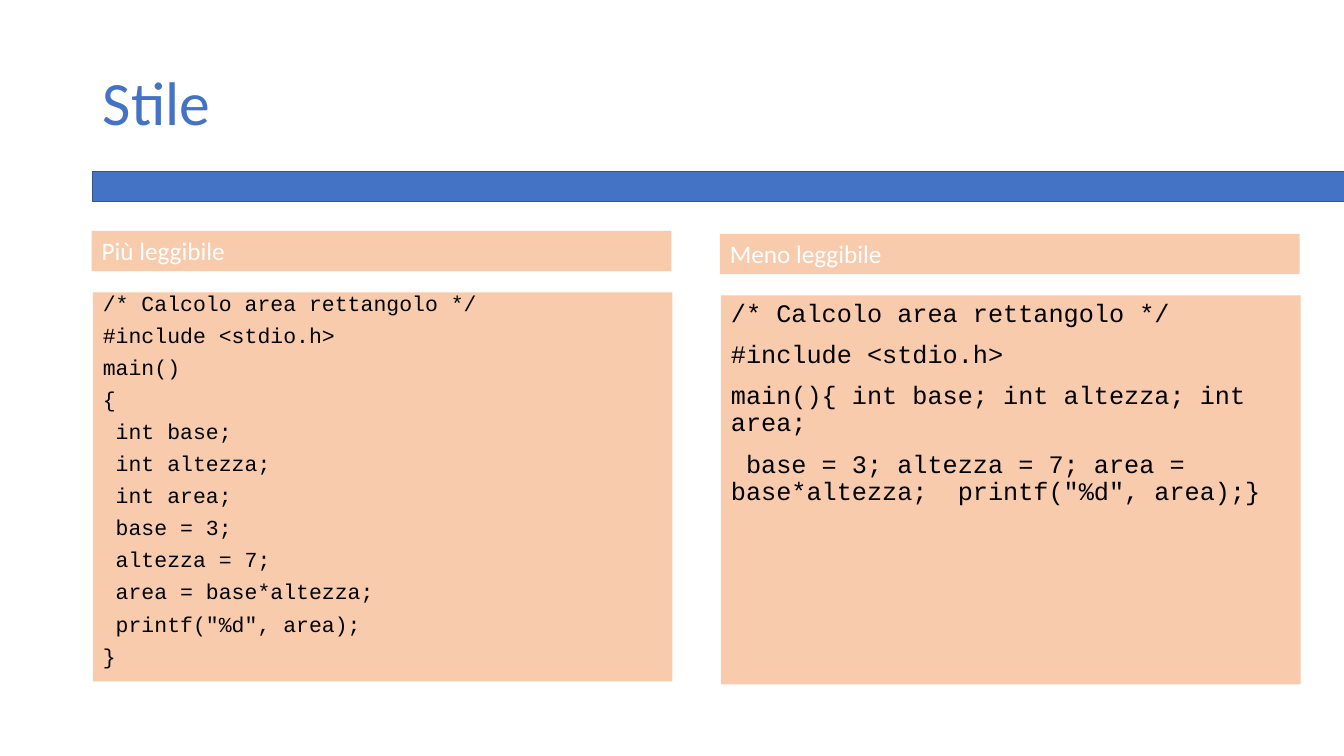
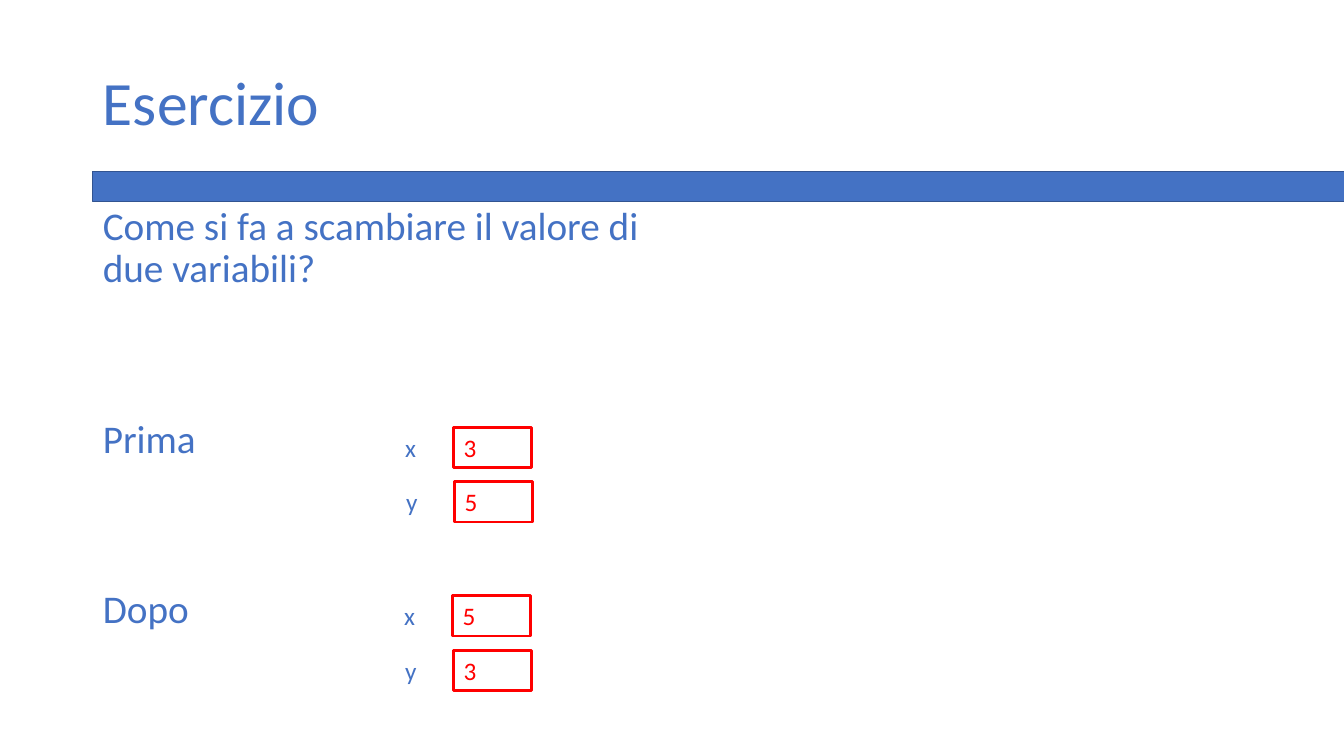
from lxml import etree
from pptx import Presentation
from pptx.dml.color import RGBColor
from pptx.enum.shapes import MSO_SHAPE
from pptx.enum.text import MSO_ANCHOR, MSO_AUTO_SIZE, PP_ALIGN
from pptx.oxml.ns import qn
from pptx.util import Inches, Pt

RECT = MSO_SHAPE.RECTANGLE
TOP, MID = MSO_ANCHOR.TOP, MSO_ANCHOR.MIDDLE
LEFT = PP_ALIGN.LEFT
FIXED = MSO_AUTO_SIZE.NONE

BLUE, EDGE, PEACH = "4472C4", "325491", "F8CBAD"
RED, WHITE, BLACK = "FF0000", "FFFFFF", "000000"
SANS, MONO = "Calibri", "Courier New"

CLEAR = """/* Calcolo area rettangolo */
#include <stdio.h>
main()
{
 int base;
 int altezza;
 int area;
 base = 3;
 altezza = 7;
 area = base*altezza;
 printf("%d", area);
}"""
DENSE = """/* Calcolo area rettangolo */
#include <stdio.h>
main(){ int base; int altezza; int area;
 base = 3; altezza = 7; area = base*altezza;  printf("%d", area);}"""


def paint(target, color):
    target.solid()
    target.fore_color.rgb = RGBColor.from_string(color)


def place(shape, x, y, w, h):
    shape.left, shape.top = Inches(x), Inches(y)
    shape.width, shape.height = Inches(w), Inches(h)


def write(shape, text, size, color, font=SANS, anchor=TOP, lead=1.0, gap=0):
    """Fill a shape with left-aligned, unbulleted paragraphs."""
    frame = shape.text_frame
    frame.word_wrap = True
    frame.auto_size = FIXED
    frame.vertical_anchor = anchor
    frame.text = text
    for i, para in enumerate(frame.paragraphs):
        props = para._p.get_or_add_pPr()
        props.set("marL", "0")
        props.set("indent", "0")
        etree.SubElement(props, qn("a:buNone"))
        para.alignment = LEFT
        para.line_spacing = lead
        para.space_before = Pt(gap if i else 0)
        for run in para.runs:
            run.font.size = Pt(size)
            run.font.name = font
            run.font.color.rgb = RGBColor.from_string(color)


def add_box(slide, x, y, w, h, fill=None, line=None, weight=1):
    box = slide.shapes.add_shape(RECT, Inches(x), Inches(y), Inches(w), Inches(h))
    box.shadow.inherit = False
    if fill:
        paint(box.fill, fill)
    else:
        box.fill.background()
    if line:
        paint(box.line.fill, line)
        box.line.width = Pt(weight)
    else:
        box.line.fill.background()
    return box


def add_page(deck, layout, title):
    """Start a slide with the shared title and band."""
    slide = deck.slides.add_slide(deck.slide_layouts.get_by_name(layout))
    add_box(slide, 0.92, 1.7, 12.42, 0.3, BLUE, EDGE)
    head = slide.shapes.title
    place(head, 0.92, 0.4, 11.5, 1.3)
    write(head, title, 44, BLUE, anchor=MID, lead=0.9)
    return slide


def add_code(slide, body, x, y, label, code, size, lead):
    """Code panel with its label above."""
    width = 5.75
    place(body, x, y, width, 3.86)
    paint(body.fill, PEACH)
    write(body, code, size, BLACK, MONO, lead=lead, gap=10)
    tag = add_box(slide, x - 0.01, y - 0.61, width, 0.4, PEACH)
    write(tag, label, 18, WHITE)


def add_vars(slide, x, y, values):
    """Variable names, each beside its boxed value."""
    for i, (name, value) in enumerate(zip("xy", values)):
        left, top = x + 0.01 * i, y + 0.54 * i
        tag = slide.shapes.add_textbox(
            Inches(left), Inches(top), Inches(0.6), Inches(0.4))
        write(tag, name, 18, BLUE)
        cell = add_box(slide, left + 0.58, top, 0.77, 0.4, line=RED, weight=2)
        write(cell, value, 18, RED)


def style_page(deck):
    slide = add_page(deck, "Two Content", "Stile")
    one, two = slide.placeholders[1], slide.placeholders[2]
    add_code(slide, one, 0.92, 2.9, "Più leggibile", CLEAR, 15.3, 0.7)
    add_code(slide, two, 7.15, 2.93, "Meno leggibile", DENSE, 18, 0.9)


def task_page(deck):
    slide = add_page(deck, "Title and Content", "Esercizio")
    body = slide.placeholders[1]
    place(body, 0.92, 2, 5.88, 4.76)
    text = "Come si fa a scambiare il valore di due variabili?\nPrima\nDopo"
    write(body, text, 28, BLUE, lead=0.9, gap=91.5)
    add_vars(slide, 3.92, 4.24, "35")
    add_vars(slide, 3.91, 5.91, "53")


def main():
    deck = Presentation()
    deck.slide_width, deck.slide_height = Inches(13.33), Inches(7.5)
    style_page(deck)
    task_page(deck)
    deck.save("out.pptx")


if __name__ == "__main__":
    main()
